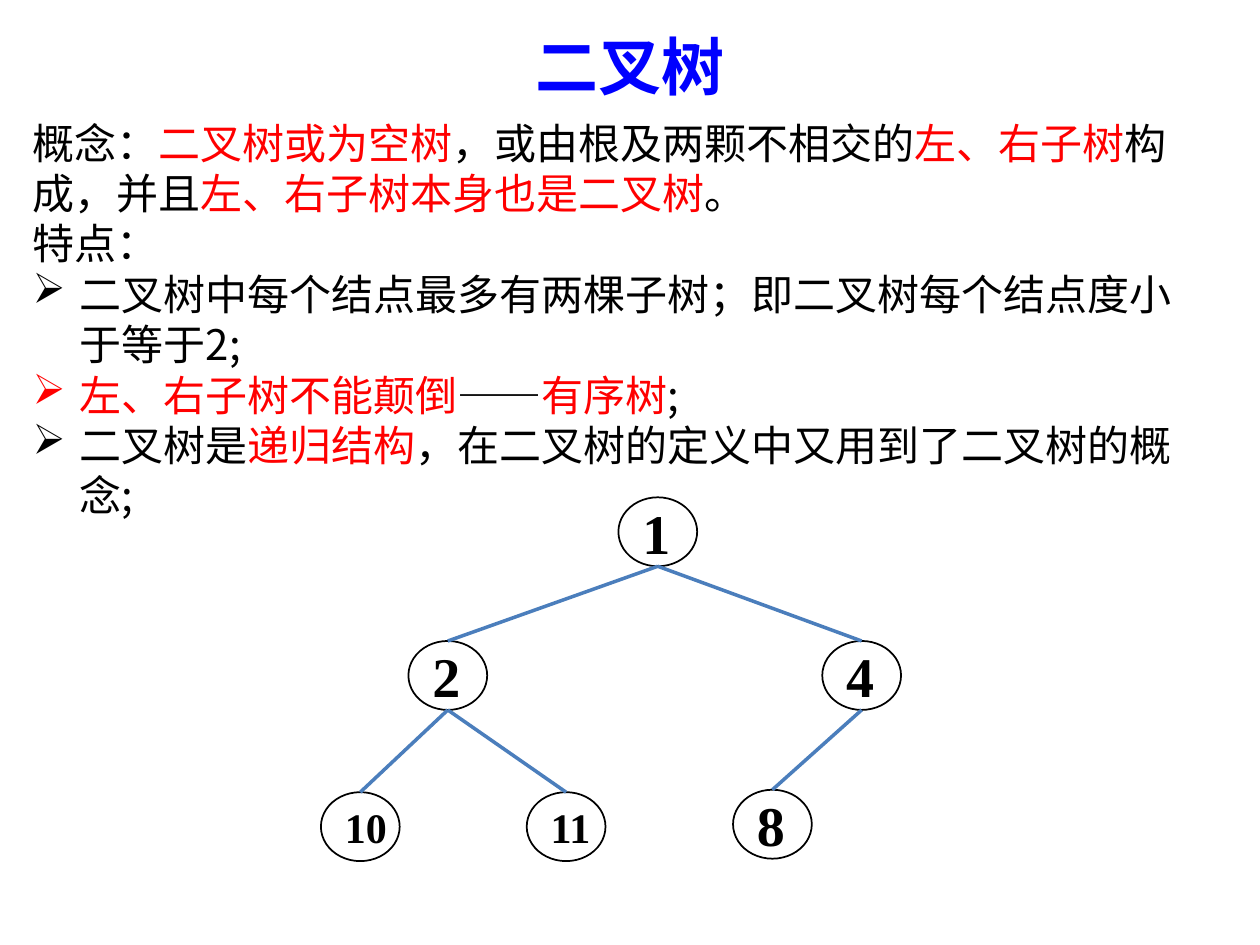
from dataclasses import dataclass

from lxml import etree
from pptx import Presentation
from pptx import util as u
from pptx.dml.color import RGBColor
from pptx.enum import shapes, text
from pptx.oxml import ns

Pt = u.Pt


@dataclass(frozen=True)
class Theme:
    blue: str = "0000FF"
    red: str = "FF0000"
    ink: str = "000000"
    edge: str = "4B7EBC"
    sans: str = "Noto Sans CJK SC"
    serif: str = "Times New Roman"
    head: int = 36
    body: int = 24
    big: int = 32
    small: int = 24
    lead: float = 1.2  # line pitch as a share of the type size


class Board:
    def __init__(self, slide, theme):
        self.slide, self.theme = slide, theme

    def run(self, para, words, size, color, face, bold=False):
        run = para.add_run()
        run.text = words
        font = run.font
        font.size, font.bold, font.name = Pt(size), bold, face
        font.color.rgb = RGBColor.from_string(color)
        east = etree.SubElement(run._r.get_or_add_rPr(), ns.qn("a:ea"))
        east.set("typeface", face)

    def title(self, words, box):
        t = self.theme
        shape = self.slide.shapes.title
        shape.left, shape.top, shape.width, shape.height = map(Pt, box)
        frame = shape.text_frame
        frame.auto_size = text.MSO_AUTO_SIZE.NONE
        frame.vertical_anchor = text.MSO_ANCHOR.TOP
        para = frame.paragraphs[0]
        para.alignment = text.PP_ALIGN.CENTER
        para.line_spacing = Pt(t.head * t.lead)
        self.run(para, words, t.head, t.blue, t.sans, True)

    def prose(self, paras, box, hang):
        """Each paragraph is (bulleted, runs); each run is (words, color)."""
        t = self.theme
        frame = self.slide.shapes.add_textbox(*map(Pt, box)).text_frame
        frame.word_wrap = True
        for i, (dotted, runs) in enumerate(paras):
            para = frame.add_paragraph() if i else frame.paragraphs[0]
            para.line_spacing = Pt(t.body * t.lead)
            if dotted:
                props = para._p.get_or_add_pPr()
                props.set("marL", str(Pt(hang)))
                props.set("indent", str(-Pt(hang)))
                etree.SubElement(props, ns.qn("a:buChar")).set("char", "➢")
            for words, color in runs:
                self.run(para, words, t.body, color, t.sans)

    def node(self, label, left, top, wide, high):
        t = self.theme
        oval = self.slide.shapes.add_shape(
            shapes.MSO_SHAPE.OVAL, Pt(left), Pt(top), Pt(wide), Pt(high))
        oval.shadow.inherit = False
        oval.fill.background()
        oval.line.color.rgb = RGBColor.from_string(t.ink)
        oval.line.width = Pt(1)
        frame = oval.text_frame
        frame.word_wrap = False
        frame.vertical_anchor = text.MSO_ANCHOR.MIDDLE
        para = frame.paragraphs[0]
        para.alignment = text.PP_ALIGN.LEFT
        size = t.big if len(label) == 1 else t.small
        self.run(para, label, size, t.ink, t.serif, True)
        return oval

    def edge(self, above, below):
        """Join the foot of one node to the top of another."""
        line = self.slide.shapes.add_connector(
            shapes.MSO_CONNECTOR.STRAIGHT,
            above.left + above.width // 2, above.top + above.height,
            below.left + below.width // 2, below.top)
        line.end_connect(below, 0)
        line.line.color.rgb = RGBColor.from_string(self.theme.edge)
        line.line.width = Pt(2)
        etree.SubElement(line._element.spPr, ns.qn("a:effectLst"))


def main():
    deck = Presentation()
    deck.slide_width, deck.slide_height = Pt(720), Pt(540)
    theme = Theme()
    ink, red = theme.ink, theme.red
    board = Board(deck.slides.add_slide(deck.slide_layouts[5]), theme)

    board.title("二叉树", (0, 12.2, 720, 51.1))

    wide, high = 45, 39.4
    spots = {
        "1": (353.4, 284.2),
        "2": (233.4, 366.3), "4": (469.9, 366.3),
        "8": (418.9, 451.3), "10": (183.4, 452.7), "11": (301, 452.7),
    }
    nodes = {label: board.node(label, *spot, wide, high)
             for label, spot in spots.items()}
    tree = {"1": ("2", "4"), "2": ("10", "11"), "4": ("8",)}
    for above, kids in tree.items():
        for kid in kids:
            board.edge(nodes[above], nodes[kid])

    board.prose([
        (False, [("概念：", ink), ("二叉树或为空树", red),
                 ("，或由根及两颗不相交的", ink), ("左、右子树", red),
                 ("构成，并且", ink), ("左、右子树本身也是二叉树", red),
                 ("。", ink)]),
        (False, [("特点：", ink)]),
        (True, [("二叉树中每个结点最多有两棵子树；即二叉树每个结点度小于等于2;", ink)]),
        (True, [("左、右子树不能颠倒", red), ("——", ink),
                ("有序树", red), (";", ink)]),
        (True, [("二叉树是", ink), ("递归结构", red),
                ("，在二叉树的定义中又用到了二叉树的概念;", ink)]),
    ], (11.5, 63.4, 678.2, 239.8), 27)

    deck.save("out.pptx")


if __name__ == "__main__":
    main()
